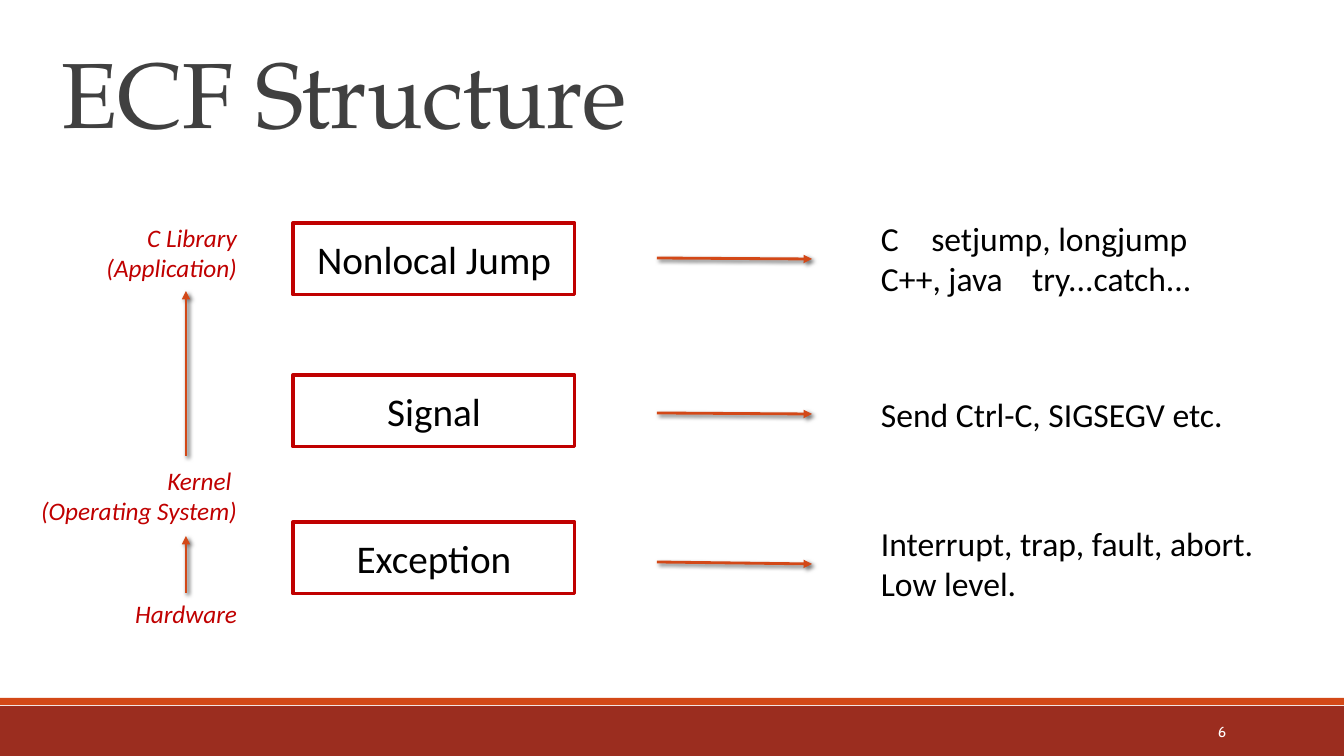
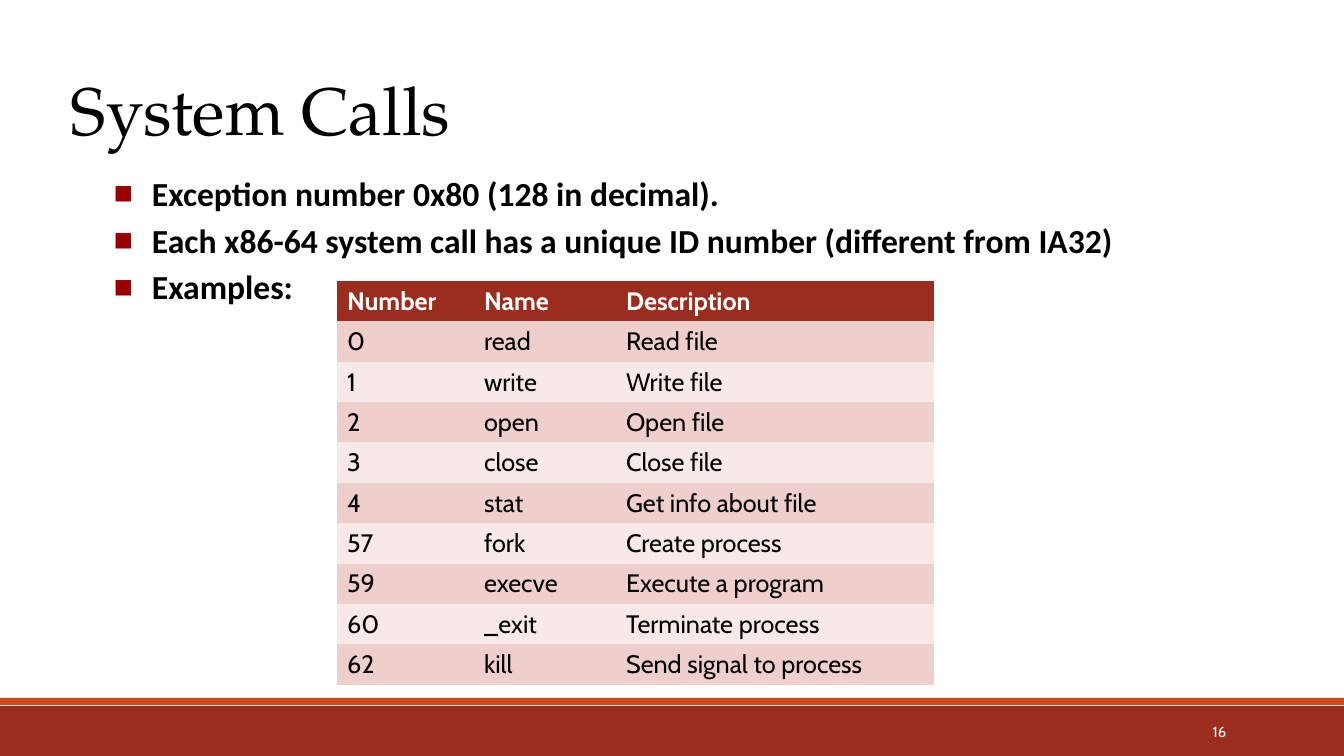
import pptx
import pptx.util
import pptx.dml.color
import pptx.enum.shapes
import pptx.enum.text
import pptx.oxml
import pptx.oxml.ns

SCALE = 914400 / 100.8
WIDE, HIGH = 1344, 756
SERIF, SANS, BODY = "TeX Gyre Pagella", "Cabin", "Calibri"
RUST, ORANGE, RED, BULLET = "9B2D1F", "D34817", "C00000", "990000"
BLACK, WHITE, GREY = "000000", "FFFFFF", "404040"
BANDS = ("F7E9E8", "EFCFCC")
PLAIN = "{2D5ABB26-0587-4C30-8999-92F81FD0307C}"
ALIGN = pptx.enum.text.PP_ALIGN
ANCHOR = pptx.enum.text.MSO_ANCHOR


def px(num):
    """Turn picture pixels into EMU."""
    return pptx.util.Emu(round(num * SCALE))


def color(text):
    """Turn a hex string into a colour."""
    return pptx.dml.color.RGBColor.from_string(text)


def node(xml):
    """Parse one element in the drawing namespace."""
    head, tail = xml.split(" ", 1)
    return pptx.oxml.parse_xml(f"{head} {pptx.oxml.ns.nsdecls('a')} {tail}")


def write(frame, lines, size, face, tint, bold=False, italic=False,
          align=ALIGN.LEFT):
    """Fill a text frame with paragraphs of one style."""
    frame.text = "\n".join(lines)
    for para in frame.paragraphs:
        para.alignment = align
        font = para.font
        font.size, font.name = pptx.util.Pt(size), face
        font.bold, font.italic = bold, italic
        font.color.rgb = color(tint)


def label(slide, box, lines, size, face, tint, wrap=True,
          anchor=ANCHOR.TOP, **style):
    """Add a text box and return its frame."""
    frame = slide.shapes.add_textbox(*map(px, box)).text_frame
    frame.word_wrap = wrap
    frame.vertical_anchor = anchor
    write(frame, lines, size, face, tint, **style)
    return frame


def block(slide, box, fill, edge=None):
    """Add a flat rectangle, outlined when an edge colour is given."""
    kind = pptx.enum.shapes.MSO_SHAPE.RECTANGLE
    shape = slide.shapes.add_shape(kind, *map(px, box))
    shape.shadow.inherit = False
    shape.fill.solid()
    shape.fill.fore_color.rgb = color(fill)
    if edge:
        shape.line.color.rgb = color(edge)
        shape.line.width = pptx.util.Pt(2.25)
    else:
        shape.line.fill.background()
    return shape


def arrow(slide, *ends):
    """Add an orange arrow with a soft shadow."""
    kind = pptx.enum.shapes.MSO_CONNECTOR.STRAIGHT
    line = slide.shapes.add_connector(kind, *map(px, ends))
    line.line.color.rgb = color(ORANGE)
    line.line.width = pptx.util.Pt(2)
    line.line._get_or_add_ln().append(node('<a:tailEnd type="triangle"/>'))
    line._element.spPr.append(node(
        '<a:effectLst ><a:outerShdw blurRad="38100" dist="25400" '
        f'dir="2700000"><a:srgbClr val="{BLACK}"><a:alpha val="60000"/>'
        '</a:srgbClr></a:outerShdw></a:effectLst>'))


def tabs(frame, *stops):
    """Set left tab stops on every paragraph."""
    marks = "".join(f'<a:tab pos="{px(stop)}" algn="l"/>' for stop in stops)
    for para in frame.paragraphs:
        props = para._p.get_or_add_pPr()
        props.insert(0, node(f"<a:tabLst >{marks}</a:tabLst>"))


def bullets(frame):
    """Give every paragraph a small square bullet and a hanging indent."""
    marks = (f'<a:buClr ><a:srgbClr val="{BULLET}"/></a:buClr>',
             '<a:buSzPct val="60000"/>',
             f'<a:buFont typeface="{BODY}"/>',
             '<a:buChar char="\u25a0"/>')
    for para in frame.paragraphs:
        props = para._p.get_or_add_pPr()
        props.set("marL", str(px(38)))
        props.set("indent", str(px(-38)))
        for spot, mark in enumerate(marks):
            props.insert(spot, node(mark))
        para.space_before = pptx.util.Pt(4.5)


def grid(slide, left, top, widths, height, rows):
    """Add a table with a dark header and banded rows."""
    frame = slide.shapes.add_table(len(rows), len(widths), px(left), px(top),
                                   px(sum(widths)), px(height * len(rows)))
    table = frame.table
    table._tbl.tblPr.find(pptx.oxml.ns.qn("a:tableStyleId")).text = PLAIN
    for col, width in zip(table.columns, widths):
        col.width = px(width)
    for num, (row, words) in enumerate(zip(table.rows, rows)):
        row.height = px(height)
        head = num == 0
        for cell, word in zip(row.cells, words):
            cell.fill.solid()
            cell.fill.fore_color.rgb = color(RUST if head else BANDS[num % 2])
            write(cell.text_frame, [word], 18, SANS,
                  WHITE if head else BLACK, bold=head)


def page(deck, number):
    """Add a slide with the footer bands and its number."""
    slide = deck.slides.add_slide(deck.slide_layouts[6])
    block(slide, (0, 706, WIDE, 50), RUST)
    block(slide, (0, 698, WIDE, 7), ORANGE)
    label(slide, (1092, 712, 144, 40), [number], 10.5, SANS, WHITE,
          anchor=ANCHOR.MIDDLE, align=ALIGN.RIGHT)
    return slide


def layers(deck):
    """Build the slide on the levels of control flow."""
    slide = page(deck, "6")
    title = label(slide, (52, 48, 1116, 84), ["ECF Structure"], 66, SERIF, GREY)
    para = title.paragraphs[0]
    para.line_spacing = 0.85
    para._p.pPr.get_or_add_defRPr().set("spc", "-50")

    for top, name in ((223, "Nonlocal Jump"), (375, "Signal"),
                      (522, "Exception")):
        shape = block(slide, (293, top, 282, 72), WHITE, RED)
        shape.text_frame.vertical_anchor = ANCHOR.MIDDLE
        write(shape.text_frame, [name], 28, BODY, BLACK, align=ALIGN.CENTER)

    for box, lines in (((95, 217, 152, 72), ["C Library", "(Application)"]),
                       ((29, 460, 218, 72), ["Kernel ", "(Operating System)"]),
                       ((124, 593, 123, 40), ["Hardware"])):
        label(slide, box, lines, 18, BODY, RED, wrap=False, italic=True,
              align=ALIGN.RIGHT)

    for start, end in ((593, 536), (456, 291)):
        arrow(slide, 186, start, 186, end)
    for start, end in ((258, 259), (413, 414), (562, 564)):
        arrow(slide, 657, start, 812, end)

    for top, high, lines in (
            (213, 92, ["C\tsetjump, longjump", "C++, java\ttry...catch... "]),
            (389, 50, ["Send Ctrl-C, SIGSEGV etc."]),
            (518, 92, ["Interrupt, trap, fault, abort.", "Low level."])):
        note = label(slide, (871, top, 394, high), lines, 24, BODY, BLACK)
        tabs(note, 50.4, 151.2)


def calls(deck):
    """Build the slide on system calls."""
    slide = page(deck, "16")
    label(slide, (61, 77, 830, 64), ["System Calls"], 48, SERIF, BLACK,
          anchor=ANCHOR.MIDDLE)
    facts = label(slide, (104, 168, 1204, 424), [
        "Exception number 0x80 (128 in decimal).",
        "Each x86-64 system call has a unique ID number (different from IA32)",
        "Examples:"], 24, BODY, BLACK, bold=True)
    bullets(facts)
    grid(slide, 337, 281, (137, 142, 318), 40, (
        ("Number", "Name", "Description"),
        ("0", "read", "Read file"),
        ("1", "write", "Write file"),
        ("2", "open", "Open file"),
        ("3", "close", "Close file"),
        ("4", "stat", "Get info about file"),
        ("57", "fork", "Create process"),
        ("59", "execve", "Execute a program"),
        ("60", "_exit", "Terminate process"),
        ("62", "kill", "Send signal to process")))


def main():
    """Build and save the deck."""
    deck = pptx.Presentation()
    deck.slide_width, deck.slide_height = px(WIDE), px(HIGH)
    layers(deck)
    calls(deck)
    deck.save("out.pptx")


main()
